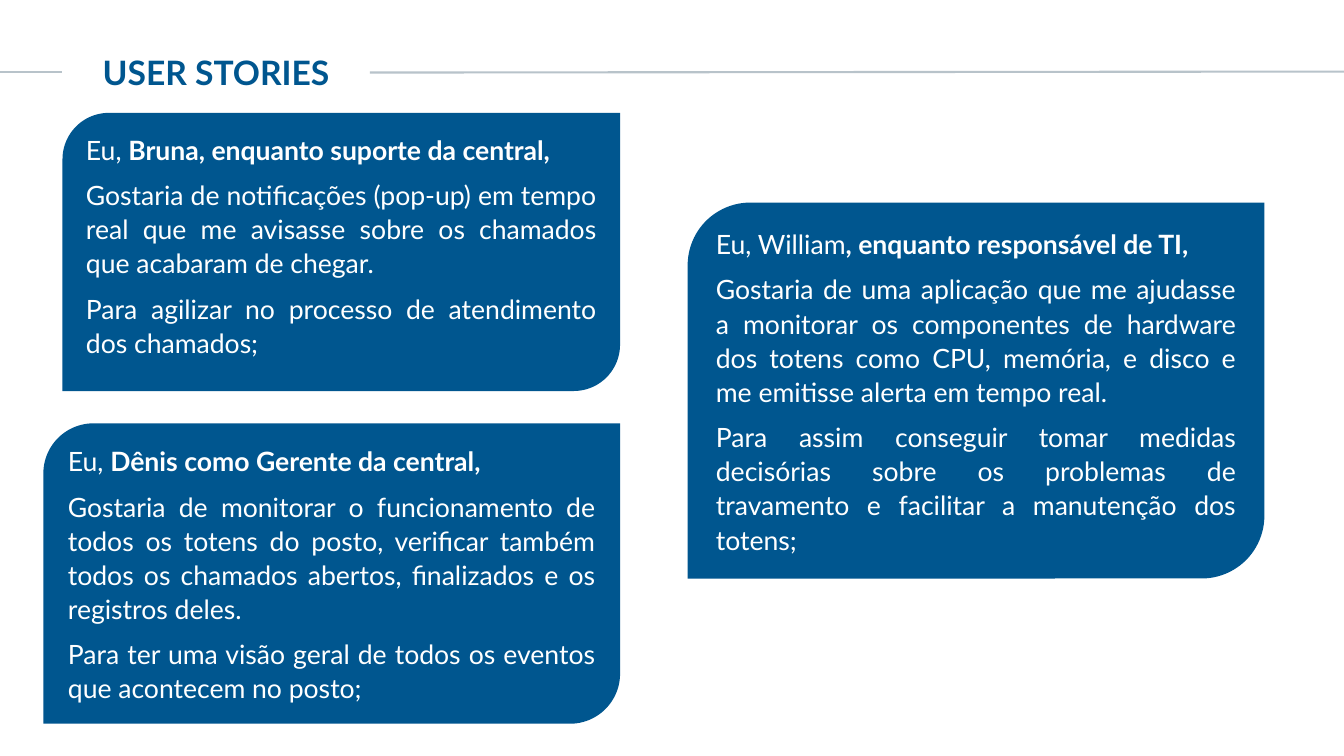
from pptx import Presentation
from pptx.dml.color import RGBColor
from pptx.enum.shapes import MSO_CONNECTOR, MSO_SHAPE
from pptx.enum.text import MSO_ANCHOR, PP_ALIGN
from pptx.oxml.ns import qn
from pptx.util import Inches, Pt
from lxml import etree

STRAIGHT = MSO_CONNECTOR.STRAIGHT
CARD_SHAPE = MSO_SHAPE.ROUND_2_DIAG_RECTANGLE
TOP = MSO_ANCHOR.TOP
LEFT, JUSTIFY = PP_ALIGN.LEFT, PP_ALIGN.JUSTIFY

COLORS = {"blue": "00568F", "rule": "B8C3CA", "white": "FFFFFF"}
FONT = "Lato"
W, H = 13.33, 7.5

# Box, alignment of the opening line, opening (plain, bold), wish, purpose
STORIES = [
    ((0.62, 1.12, 5.53, 2.76), JUSTIFY,
     ("Eu, ", "Bruna, enquanto suporte da central,"),
     "Gostaria de notificações (pop-up) em tempo real que me avisasse "
     "sobre os chamados que acabaram de chegar.",
     "Para agilizar no processo de atendimento dos chamados;"),
    ((0.43, 4.2, 5.72, 2.98), LEFT,
     ("Eu, ", "Dênis como Gerente da central,"),
     "Gostaria de monitorar o funcionamento de todos os totens do posto, "
     "verificar também todos os chamados abertos, finalizados e os "
     "registros deles.",
     "Para ter uma visão geral de todos os eventos que acontecem no posto;"),
    ((6.82, 2.01, 5.72, 3.73), LEFT,
     ("Eu, William", ", enquanto responsável de TI,"),
     "Gostaria de uma aplicação que me ajudasse a monitorar os componentes "
     "de hardware dos totens como CPU, memória, e disco e me emitisse "
     "alerta em tempo real.",
     "Para assim conseguir tomar medidas decisórias sobre os problemas de "
     "travamento e facilitar a manutenção dos totens;"),
]


def rgb(name):
    return RGBColor.from_string(COLORS[name])


def add_run(p, text, size, color, bold=False):
    r = p.add_run()
    r.text = text
    r.font.name = FONT
    r.font.size = Pt(size)
    r.font.bold = bold
    r.font.color.rgb = rgb(color)


def add_rule(s, x1, y1, x2, y2):
    line = s.shapes.add_connector(STRAIGHT, *map(Inches, (x1, y1, x2, y2)))
    line.line.color.rgb = rgb("rule")
    line.line.width = Pt(1.5)
    etree.SubElement(line._element.spPr, qn("a:effectLst"))


def add_header(s, box, title):
    """Title in its box, with a rule on either side reaching the slide edge."""
    x, y, w, h = box
    add_rule(s, 0, y + 0.24, x - 0.3, y + 0.24)
    add_rule(s, x + 2.75, y + 0.25, W, y + 0.24)
    tf = s.shapes.add_textbox(*map(Inches, box)).text_frame
    tf.word_wrap = True
    add_run(tf.paragraphs[0], title, 24, "blue", True)


def add_story(s, box, opening_align, opening, wish, purpose):
    sp = s.shapes.add_shape(CARD_SHAPE, *map(Inches, box))
    sp.shadow.inherit = False
    sp.fill.solid()
    sp.fill.fore_color.rgb = rgb("blue")
    sp.line.fill.background()
    tf = sp.text_frame
    tf.word_wrap = True
    tf.vertical_anchor = TOP
    for i, parts in enumerate((opening, (wish,), (purpose,))):
        p = tf.paragraphs[0] if i == 0 else tf.add_paragraph()
        p.alignment = JUSTIFY if i else opening_align
        p.line_spacing = 1.07
        p.space_after = Pt(8)
        for j, text in enumerate(parts):
            add_run(p, text, 19, "white", bold=j == 1)


def main():
    prs = Presentation()
    prs.slide_width, prs.slide_height = Inches(W), Inches(H)
    s = prs.slides.add_slide(prs.slide_layouts[6])
    add_header(s, (0.92, 0.47, 4.57, 0.5), "USER STORIES")
    for story in STORIES:
        add_story(s, *story)
    prs.save("out.pptx")


if __name__ == "__main__":
    main()
